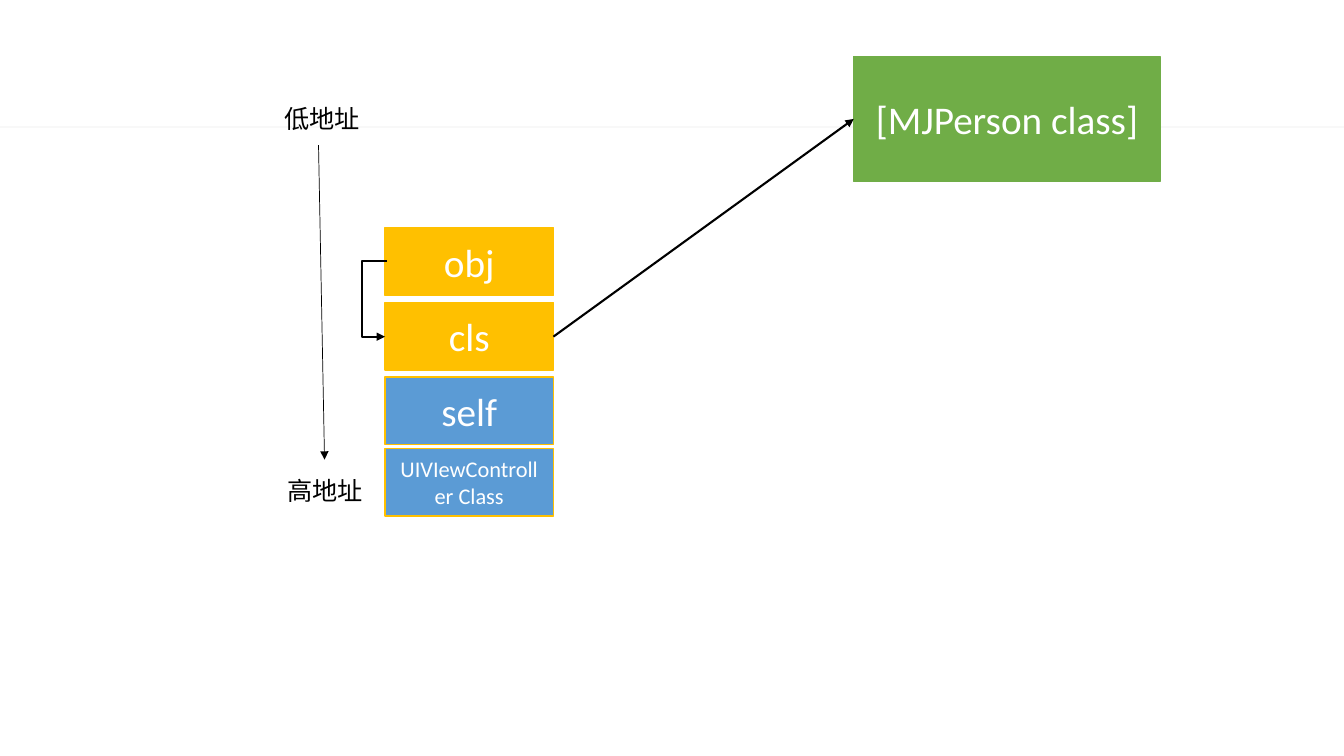
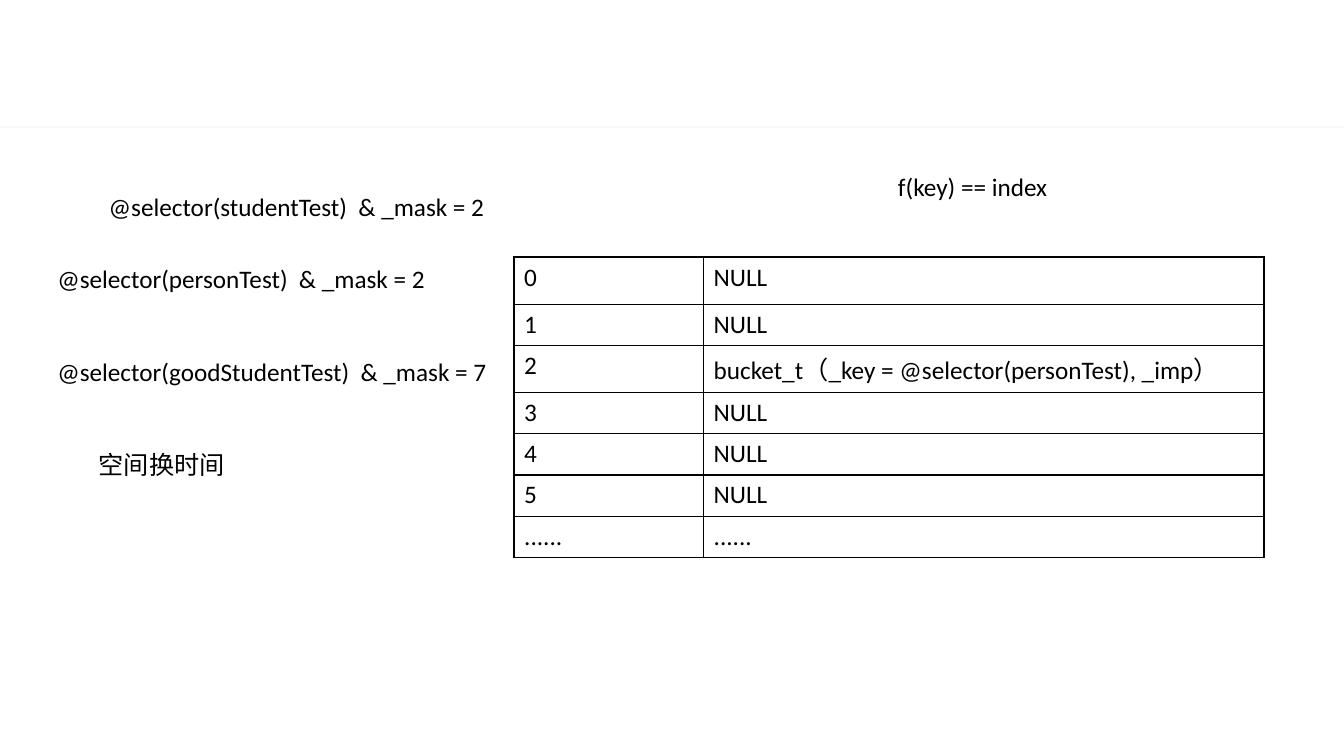
from lxml import etree
from pptx import Presentation, util as u
from pptx.dml.color import RGBColor
from pptx.enum import shapes, text
from pptx.oxml import ns

COLORS = {"black": "000000", "white": "FFFFFF", "amber": "FFC000",
          "blue": "5B9BD5", "green": "70AD47", "rule": "EAEAEA"}
COLUMNS, ROWS = 80, 45


class Deck:
    """Holds the style and the current slide, measured in grid columns and rows."""

    font = "Calibri"

    def __init__(self):
        self.presentation = Presentation()
        self.presentation.slide_width = u.Inches(13.33)
        self.presentation.slide_height = u.Inches(7.5)
        self.slide = None

    def x(self, columns):
        return round(self.presentation.slide_width * columns / COLUMNS)

    def y(self, rows):
        return round(self.presentation.slide_height * rows / ROWS)

    def area(self, left, top, width, height):
        return self.x(left), self.y(top), self.x(width), self.y(height)

    def color(self, name):
        return RGBColor.from_string(COLORS[name])

    def add_slide(self):
        self.slide = self.presentation.slides.add_slide(self.presentation.slide_layouts[6])
        rule = self.rectangle(0, 7.5, COLUMNS, 0.12, "rule")
        tint = rule._element.spPr.find(ns.qn("a:solidFill")).find(ns.qn("a:srgbClr"))
        etree.SubElement(tint, ns.qn("a:alpha"), val="32000")

    def add_text(self, frame, words, size=18, color="black"):
        run = frame.paragraphs[0].add_run()
        run.text = words
        run.font.name = self.font
        run.font.size = u.Pt(size)
        run.font.color.rgb = self.color(color)

    def rectangle(self, left, top, width, height, fill, line=None):
        shape = self.slide.shapes.add_shape(
            shapes.MSO_SHAPE.RECTANGLE, *self.area(left, top, width, height))
        shape.shadow.inherit = False
        shape.fill.solid()
        shape.fill.fore_color.rgb = self.color(fill)
        if line:
            shape.line.color.rgb = self.color(line)
            shape.line.width = u.Pt(1)
        else:
            shape.line.fill.background()
        return shape

    def box(self, left, top, width, height, words, fill, line, size=28):
        frame = self.rectangle(left, top, width, height, fill, line).text_frame
        frame.word_wrap = True
        frame.vertical_anchor = text.MSO_ANCHOR.MIDDLE
        frame.paragraphs[0].alignment = text.PP_ALIGN.CENTER
        self.add_text(frame, words, size, "white")

    def label(self, left, top, width, words):
        frame = self.slide.shapes.add_textbox(*self.area(left, top, width, 2.4)).text_frame
        frame.word_wrap = False
        frame.auto_size = text.MSO_AUTO_SIZE.SHAPE_TO_FIT_TEXT
        self.add_text(frame, words)

    def arrow(self, start, end, width=1.5, bend=None):
        kind = shapes.MSO_CONNECTOR.STRAIGHT if bend is None else shapes.MSO_CONNECTOR.ELBOW
        connector = self.slide.shapes.add_connector(
            kind, self.x(start[0]), self.y(start[1]), self.x(end[0]), self.y(end[1]))
        connector.line.color.rgb = self.color("black")
        connector.line.width = u.Pt(width)
        properties = connector._element.spPr
        etree.SubElement(properties.find(ns.qn("a:ln")), ns.qn("a:tailEnd"), type="triangle")
        etree.SubElement(properties, ns.qn("a:effectLst"))
        if bend is not None:
            share = round((bend - start[0]) / (end[0] - start[0]) * 100000)
            guides = properties.find(".//" + ns.qn("a:avLst"))
            etree.SubElement(guides, ns.qn("a:gd"), name="adj1", fmla=f"val {share}")

    def border(self, cell):
        properties = cell._tc.get_or_add_tcPr()
        for index, side in enumerate(("lnL", "lnR", "lnT", "lnB")):
            line = etree.Element(ns.qn("a:" + side), w=str(u.Pt(1)))
            fill = etree.SubElement(line, ns.qn("a:solidFill"))
            etree.SubElement(fill, ns.qn("a:srgbClr"), val=COLORS["black"])
            properties.insert(index, line)

    def table(self, left, top, widths, heights, records):
        table = self.slide.shapes.add_table(
            len(heights), len(widths),
            *self.area(left, top, sum(widths), sum(heights))).table
        table.first_row = table.horz_banding = False
        for column, width in zip(table.columns, widths):
            column.width = self.x(width)
        for row, height, record in zip(table.rows, heights, records):
            row.height = self.y(height)
            for cell, words in zip(row.cells, record):
                cell.fill.background()
                self.border(cell)
                self.add_text(cell.text_frame, words)


def memory_slide(deck):
    deck.add_slide()
    deck.arrow((18.96, 8.64), (19.32, 27.36), 0.5)
    deck.label(16.32, 5.88, 5.94, "低地址")
    deck.label(16.5, 28.02, 5.76, "高地址")
    for top, words, fill, size in (
            (13.56, "obj", "amber", 28),
            (18, "cls", "amber", 28),
            (22.44, "self", "blue", 28),
            (26.7, "UIVIewController Class", "blue", 16)):
        deck.box(22.92, top, 10.02, 4.02, words, fill, "amber", size)
    deck.box(50.82, 3.36, 18.24, 7.44, "[MJPerson class]", "green", "green")
    deck.arrow((32.94, 20.04), (50.82, 7.08))
    deck.arrow((23.04, 15.54), (22.92, 20.04), bend=21.54)


def hash_slide(deck):
    deck.add_slide()
    buckets = {2: "bucket_t（_key = @selector(personTest), _imp）"}
    records = [(str(index), buckets.get(index, "NULL")) for index in range(6)]
    records.append(("......", "......"))
    deck.table(30.6, 15.3, (11.28, 33.36), [2.82] + [2.46] * 6, records)
    for left, top, width, words in (
            (2.82, 15.36, 24.12, "@selector(personTest)  & _mask = 2"),
            (5.28, 26.46, 8.76, "空间换时间"),
            (5.88, 11.1, 23.82, "@selector(studentTest)  & _mask = 2"),
            (2.82, 20.94, 27.84, "@selector(goodStudentTest)  & _mask = 7"),
            (52.86, 9.9, 10.2, "f(key) == index")):
        deck.label(left, top, width, words)


def main():
    deck = Deck()
    memory_slide(deck)
    hash_slide(deck)
    deck.presentation.save("out.pptx")


if __name__ == "__main__":
    main()
